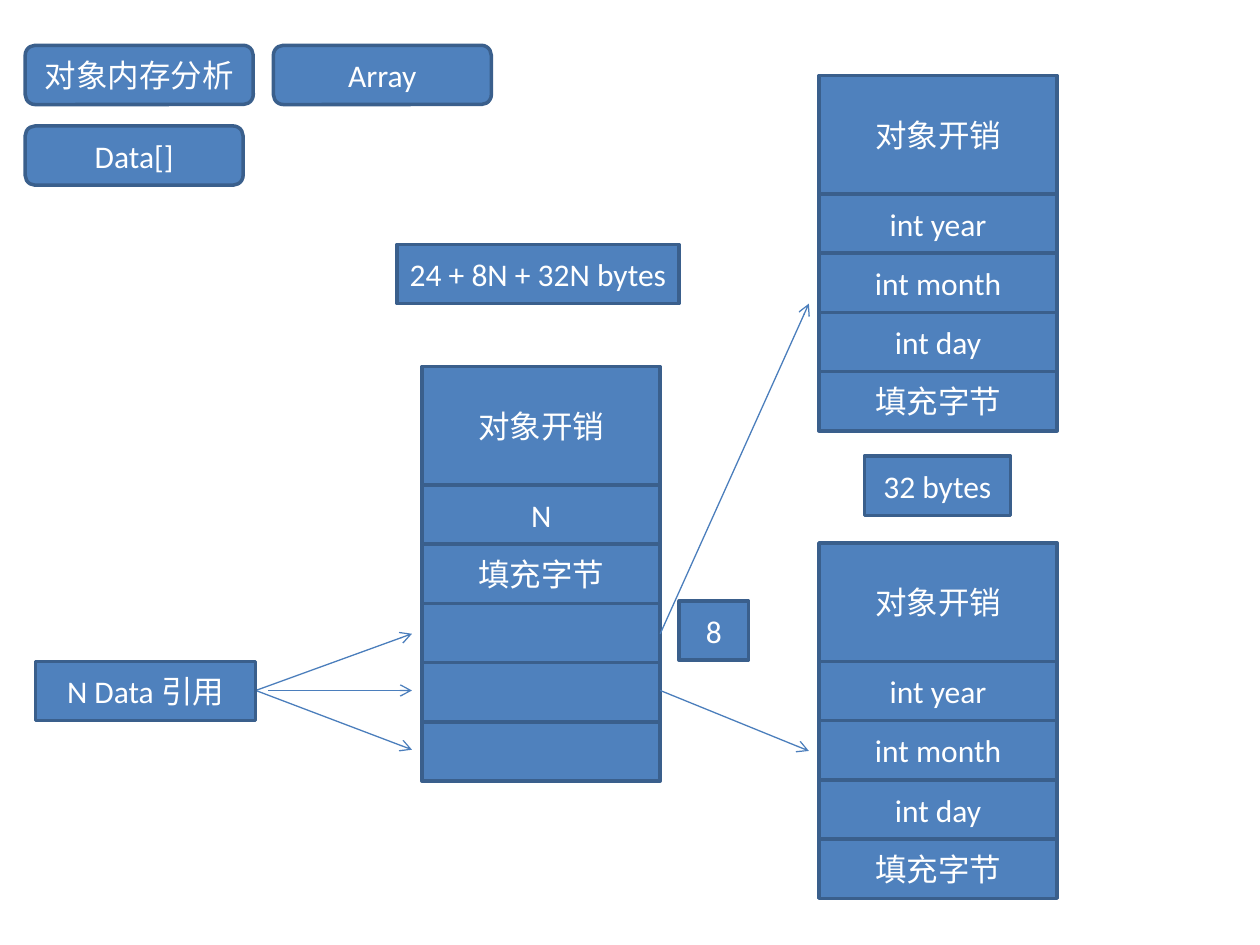
import pptx
import pptx.dml.color
import pptx.enum.shapes
import pptx.enum.text
import pptx.oxml
import pptx.oxml.ns
import pptx.util

Inches = pptx.util.Inches
SHAPE = pptx.enum.shapes.MSO_SHAPE

# Text, left, top, width
TITLES = [
    ("对象内存分析", 0.2, 0.36, 1.81),
    ("Array", 2.17, 0.36, 1.73),
    ("Data[]", 0.2, 1, 1.73),
]
LABELS = [
    ("24 + 8N + 32N bytes", 3.15, 1.94, 2.24),
    ("N Data 引用", 0.28, 5.25, 1.75),
    ("32 bytes", 6.86, 3.62, 1.16),
    ("8", 5.39, 4.77, 0.55),
]

# Each memory layout: left, top, then cells as (text, height in rows)
DATE_CELLS = [("对象开销", 2), ("int year", 1), ("int month", 1), ("int day", 1), ("填充字节", 1)]
ARRAY_CELLS = [("对象开销", 2), ("N", 1), ("填充字节", 1), ("", 1), ("", 1), ("", 1)]
STACKS = [
    (3.35, 2.91, ARRAY_CELLS),
    (6.5, 0.6, DATE_CELLS),
    (6.5, 4.31, DATE_CELLS),
]

# Start x, y and end x, y
ARROWS = [
    (2.03, 5.48, 3.27, 5.03),
    (2.13, 5.48, 3.27, 5.48),
    (2.03, 5.48, 3.27, 5.95),
    (5.24, 5.03, 6.42, 2.41),
    (5.24, 5.48, 6.42, 5.96),
]

ROW_HEIGHT = 0.47
STACK_WIDTH = 1.89
FILL, BORDER, ARROW, WHITE = "4F81BD", "3A5F8C", "4B7EBC", "FFFFFF"
FONT = {"name": "Calibri", "size": pptx.util.Pt(18)}
FRAME = {
    "word_wrap": True,
    "vertical_anchor": pptx.enum.text.MSO_ANCHOR.MIDDLE,
    "margin_left": Inches(0.05),
    "margin_right": Inches(0.05),
}


def set_color(color_format, value):
    color_format.rgb = pptx.dml.color.RGBColor.from_string(value)


def set_values(target, values):
    for name, value in values.items():
        setattr(target, name, value)


def set_line(line, color, width):
    set_color(line.color, color)
    line.width = pptx.util.Pt(width)


def add_box(slide, text, left, top, width, height=ROW_HEIGHT, kind=SHAPE.RECTANGLE):
    box = slide.shapes.add_shape(kind, *map(Inches, (left, top, width, height)))
    box.shadow.inherit = False
    box.fill.solid()
    set_color(box.fill.fore_color, FILL)
    set_line(box.line, BORDER, 2)
    if text:
        set_values(box.text_frame, FRAME)
        para = box.text_frame.paragraphs[0]
        para.alignment = pptx.enum.text.PP_ALIGN.CENTER
        span = para.add_run()
        span.text = text
        set_values(span.font, FONT)
        set_color(span.font.color, WHITE)


def add_stack(slide, left, top, cells):
    for text, rows in cells:
        add_box(slide, text, left, top, STACK_WIDTH, rows * ROW_HEIGHT)
        top += rows * ROW_HEIGHT


def add_arrow(slide, *ends):
    arrow = slide.shapes.add_connector(
        pptx.enum.shapes.MSO_CONNECTOR.STRAIGHT, *map(Inches, ends))
    set_line(arrow.line, ARROW, 0.75)
    head = pptx.oxml.parse_xml(
        f'<a:tailEnd {pptx.oxml.ns.nsdecls("a")} type="arrow"/>')
    arrow.line._get_or_add_ln().append(head)
    no_shadow = pptx.oxml.parse_xml(f'<a:effectLst {pptx.oxml.ns.nsdecls("a")}/>')
    arrow._element.spPr.append(no_shadow)


def main():
    deck = pptx.Presentation()
    deck.slide_width, deck.slide_height = Inches(10), Inches(7.5)
    slide = deck.slides.add_slide(deck.slide_layouts[6])
    for title in TITLES:
        add_box(slide, *title, kind=SHAPE.ROUNDED_RECTANGLE)
    for stack in STACKS:
        add_stack(slide, *stack)
    for arrow in ARROWS:
        add_arrow(slide, *arrow)
    for label in LABELS:
        add_box(slide, *label)
    deck.save("out.pptx")


if __name__ == "__main__":
    main()
